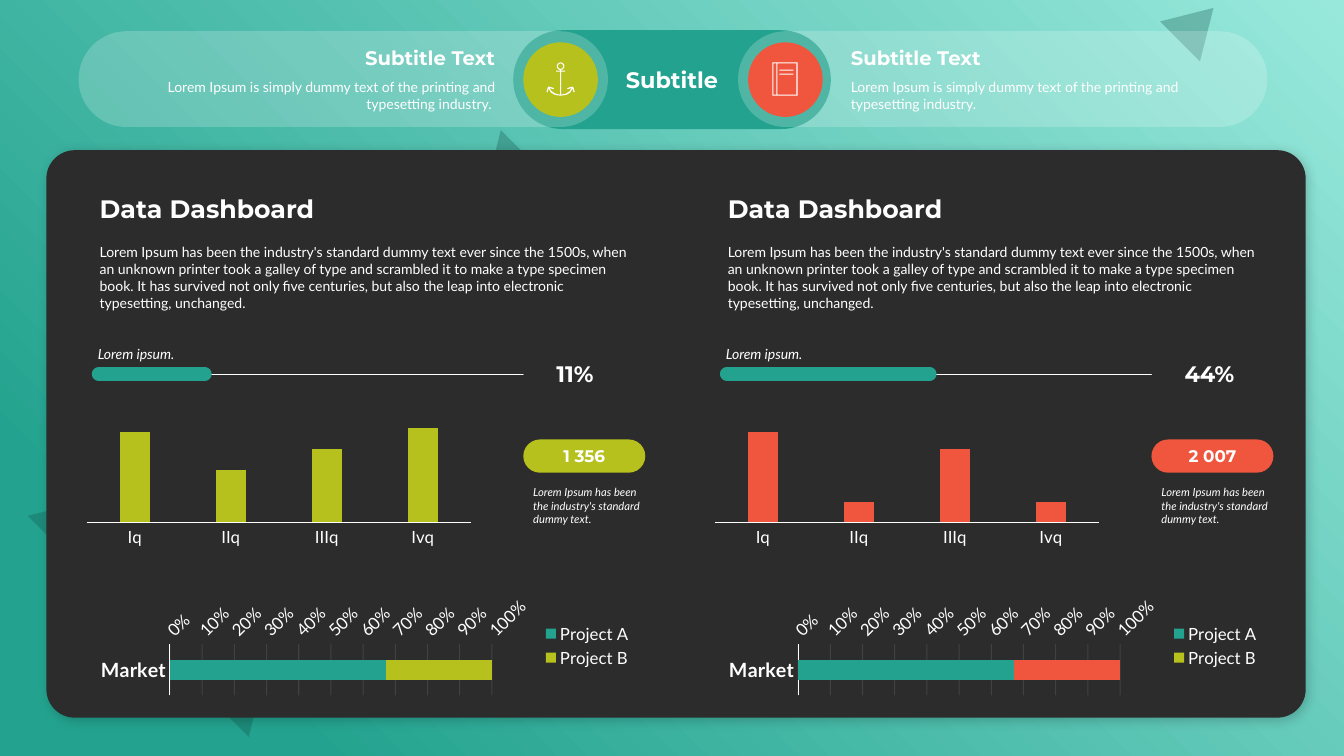
"""Build a teal dashboard slide with two columns of progress bars and charts."""
from math import cos, pi, sin

from lxml.etree import SubElement
from pptx import Presentation
from pptx.chart.data import CategoryChartData
from pptx.dml.color import RGBColor
from pptx.enum.chart import XL_CHART_TYPE, XL_LEGEND_POSITION, XL_TICK_MARK
from pptx.enum.shapes import MSO_CONNECTOR, MSO_SHAPE
from pptx.enum.text import MSO_ANCHOR, MSO_AUTO_SIZE, PP_ALIGN
from pptx.oxml.ns import qn
from pptx.util import Pt

PX = 9144
COLORS = {name: RGBColor.from_string(value) for name, value in {
    "mint": "98E9DC", "teal": "23A38F", "pine": "115248", "white": "FFFFFF",
    "lime": "B7C11E", "coral": "F0563D", "panel": "2C2C2C"}.items()}
LEFT, CENTER, RIGHT = PP_ALIGN.LEFT, PP_ALIGN.CENTER, PP_ALIGN.RIGHT
TOP, MIDDLE, BOTTOM = MSO_ANCHOR.TOP, MSO_ANCHOR.MIDDLE, MSO_ANCHOR.BOTTOM
PILL = MSO_SHAPE.ROUNDED_RECTANGLE


def add_box(shapes, kind, at, color, opacity=100):
    shape = shapes.add_shape(kind, *[value * PX for value in at])
    shape.shadow.inherit = False
    shape.line.fill.background()
    shape.fill.solid()
    shape.fill.fore_color.rgb = COLORS[color]
    if opacity < 100:
        tint = shape.element.spPr.find(".//" + qn("a:srgbClr"))
        SubElement(tint, qn("a:alpha"), val=str(opacity * 1000))
    if kind == PILL:
        shape.adjustments[0] = 0.5
    return shape


def write(shape, lines, align=LEFT, anchor=TOP, insets=(10, 5, 10, 5), after=0):
    frame = shape.text_frame
    frame.word_wrap = True
    frame.vertical_anchor = anchor
    for side, inset in zip(("left", "top", "right", "bottom"), insets):
        setattr(frame, "margin_" + side, inset * PX)
    for index, (text, size, name, style) in enumerate(lines):
        paragraph = frame.add_paragraph() if index else frame.paragraphs[0]
        paragraph.alignment = align
        paragraph.space_after = Pt(after)
        run = paragraph.add_run()
        run.text = text
        formats = {"size": Pt(size), "name": name, "bold": style == "bold", "italic": style == "italic"}
        for key, value in formats.items():
            setattr(run.font, key, value)
        run.font.color.rgb = COLORS["white"]


presentation = Presentation()
presentation.slide_width, presentation.slide_height = 1333 * PX, 750 * PX
slide = presentation.slides.add_slide(presentation.slide_layouts[6])
shapes = slide.shapes

backdrop = add_box(shapes, MSO_SHAPE.RECTANGLE, (0, 0, 1333, 750), "teal")
backdrop.fill.gradient()
for stop, (position, color) in zip(backdrop.fill.gradient_stops, ((0, "mint"), (0.85, "teal"))):
    stop.position = position
    stop.color.rgb = COLORS[color]
gradient = backdrop.element.spPr.find(qn("a:gradFill"))
gradient.remove(gradient.find(qn("a:lin")))
radial = SubElement(gradient, qn("a:path"), path="circle")
SubElement(radial, qn("a:fillToRect"), l="100000", b="100000")

for at, flipped in (((73, 402, 310, 257), "0"), ((457, 150, 90, 75), "1"), ((1159, 1, 56, 47), "0")):
    triangle = add_box(shapes, MSO_SHAPE.ISOSCELES_TRIANGLE, at, "pine", 30)
    triangle.rotation = 45
    triangle.element.spPr.find(qn("a:xfrm")).set("flipV", flipped)

title_pill = add_box(shapes, PILL, (509, 30, 315, 98), "teal")
write(title_pill, [("Subtitle", 16, "Montserrat", "bold")], CENTER, MIDDLE, (87, 5, 87, 5))
PRINTING = "Lorem Ipsum is simply dummy text of the printing and typesetting industry."
for left, align, insets, ending in ((732, LEFT, (98, 5, 20, 5), ""), (78, RIGHT, (20, 5, 98, 5), " ")):
    side_pill = add_box(shapes, PILL, (left, 31, 525, 95), "white", 20)
    lines = [("Subtitle Text", 14, "Montserrat", "bold"), (PRINTING + ending, 10, "Lato", "")]
    write(side_pill, lines, align, MIDDLE, insets, 6)
for left, color in ((519, "lime"), (742, "coral")):
    add_box(shapes, MSO_SHAPE.OVAL, (left, 42, 74, 74), color)

half_anchor = [(5, 73), (5, 80), (45, 80), (45, 90), (5, 90), (5, 320), (55, 308), (90, 285),
               (110, 254), (70, 265), (65, 254), (115, 240), (124, 240), (140, 290), (130, 297),
               (118, 260), (95, 300), (55, 322), (0, 330)]
anchor_body = half_anchor + [(-x, y) for x, y in reversed(half_anchor[:-1])]
rings = [[(radius * cos(step * pi / 12), 37 + radius * sin(step * pi / 12)) for step in range(24)]
         for radius in (37, 27)]
book_frames = [[(left, top), (right, top), (right, bottom), (left, bottom)] for left, top, right, bottom in
               ((0, 0, 250, 330), (10, 10, 40, 320), (50, 10, 240, 320))]
book = shapes.add_group_shape()
for parent, left, contours in ((shapes, 556, [anchor_body] + rings), (book.shapes, 766, book_frames)):
    builder = parent.build_freeform(*contours[0][0], scale=PX / 10)
    builder.add_line_segments(contours[0][1:])
    for contour in contours[1:]:
        builder.move_to(*contour[0])
        builder.add_line_segments(contour[1:])
    icon = builder.convert_to_shape(left * PX, 62 * PX)
    icon.shadow.inherit = False
    icon.fill.solid()
    icon.fill.fore_color.rgb = COLORS["white"]
    icon.line.fill.background()
for top in (69, 73):
    add_box(book.shapes, MSO_SHAPE.RECTANGLE, (773, top, 14, 1), "white")

panel = add_box(shapes, PILL, (46, 149, 1249, 563), "panel")
panel.adjustments[0] = 0.05
effects = panel.element.spPr.find(qn("a:effectLst"))
shadow = SubElement(effects, qn("a:outerShdw"), blurRad=str(Pt(8)), dist=str(Pt(3)), dir="2700000")
shade = SubElement(shadow, qn("a:srgbClr"), val="000000")
SubElement(shade, qn("a:alpha"), val="20000")

HISTORY = ("Lorem Ipsum has been the industry's standard dummy text ever since the 1500s, when an unknown "
           "printer took a galley of type and scrambled it to make a type specimen book. It has survived not "
           "only five centuries, but also the leap into electronic typesetting, unchanged.")
NOTE = "Lorem Ipsum has been the industry's standard dummy text."
dashboards = (
    (0, "lime", "1 356", "11%", 203, (96, 56, 78, 100), 111),
    (623, "coral", "2 007", "44%", 299, (100, 23, 81, 23), 116))

for shift, color, total, percent, progress_end, quarters, scale_top in dashboards:
    badge = add_box(shapes, PILL, (519 + shift, 436, 121, 33), color)
    write(badge, [(total, 12, "Montserrat", "bold")], CENTER, MIDDLE, (0, 0, 0, 0))

    for (left, top, width, height), line, anchor, inset, after in (
            ((519, 477, 138, 50), (NOTE, 8, "Lato", "italic"), TOP, 10, 0),
            ((89, 237, 548, 77), (HISTORY, 10, "Lato", ""), TOP, 10, 6),
            ((89, 187, 548, 40), ("Data Dashboard", 18, "Montserrat", "bold"), BOTTOM, 10, 0),
            ((542, 352, 95, 37), (percent, 16, "Montserrat", "bold"), MIDDLE, 10, 0),
            ((89, 337, 192, 27), ("Lorem ipsum.", 10, "Lato", "italic"), BOTTOM, 8, 0)):
        box = shapes.add_textbox((left + shift) * PX, top * PX, width * PX, height * PX)
        write(box, [line], LEFT, anchor, (inset, 5, 10, 5), after)
        box.text_frame.auto_size = MSO_AUTO_SIZE.SHAPE_TO_FIT_TEXT

    for start, end, stroke, weight in ((93, 519, "white", 0.5), (98, progress_end, "teal", 10)):
        bar = shapes.add_connector(MSO_CONNECTOR.STRAIGHT, (start + shift) * PX, 371 * PX,
                                   (end + shift) * PX, 371 * PX)
        bar.line.color.rgb, bar.line.width = COLORS[stroke], Pt(weight)
        bar.element.spPr.find(qn("a:ln")).set("cap", "rnd")
        SubElement(bar.element.spPr, qn("a:effectLst"))

    for kind, (left, top, width, height), categories, series_data, gap, overlap, sizes in (
            (XL_CHART_TYPE.COLUMN_CLUSTERED, (78, 398, 401, 165), ("Iq", "IIq", "IIIq", "Ivq"),
             (("Series 1", quarters, color),), 219, -27, (10, 12)),
            (XL_CHART_TYPE.BAR_STACKED_100, (89, 589, 548, 103), ("Market",),
             (("Project A", (67,), "teal"), ("Project B", (33,), "lime")), 155, 100, (12, 14))):
        data = CategoryChartData()
        data.categories = categories
        for name, values, fill in series_data:
            data.add_series(name, values)
        chart = shapes.add_chart(kind, (left + shift) * PX, top * PX, width * PX, height * PX, data).chart
        chart.has_title = chart.has_legend = False
        chart.font.size, chart.font.name = Pt(sizes[0]), "Lato"
        chart.font.color.rgb = COLORS["white"]
        plot = chart.plots[0]
        plot.gap_width, plot.overlap, plot.vary_by_categories = gap, overlap, False
        for series, (name, values, fill) in zip(plot.series, series_data):
            series.format.fill.solid()
            series.format.fill.fore_color.rgb = COLORS[fill]
        category_axis, value_axis = chart.category_axis, chart.value_axis
        category_axis.major_tick_mark = value_axis.major_tick_mark = XL_TICK_MARK.NONE
        labels = category_axis.tick_labels.font
        labels.size, labels.name, labels.bold = Pt(sizes[1]), "Lato", len(categories) == 1
        labels.color.rgb = category_axis.format.line.color.rgb = COLORS["white"]
        category_axis.format.line.width = Pt(0.75)
        if kind == XL_CHART_TYPE.COLUMN_CLUSTERED:
            value_axis.visible = value_axis.has_major_gridlines = False
            value_axis.minimum_scale, value_axis.maximum_scale = 0, scale_top
            plot_area = chart.element.find(".//" + qn("c:plotArea"))
            layout = plot_area.find(qn("c:layout"))
            layout = SubElement(plot_area, qn("c:layout")) if layout is None else layout
            plot_area.insert(0, layout)
            manual = SubElement(layout, qn("c:manualLayout"))
            for key, value in (("layoutTarget", "inner"), ("xMode", "edge"), ("yMode", "edge"),
                               ("x", "0.02"), ("y", "0.1"), ("w", "0.95"), ("h", "0.63")):
                SubElement(manual, qn("c:" + key), val=value)
        else:
            category_axis.reverse_order = True
            value_axis.format.line.fill.background()
            value_axis.tick_labels.number_format = "0%"
            value_axis.tick_labels.number_format_is_linked = False
            grid = value_axis.major_gridlines.format.line
            grid.color.rgb, grid.width = COLORS["white"], Pt(0.75)
            tint = chart.element.find(".//" + qn("c:majorGridlines")).find(".//" + qn("a:srgbClr"))
            SubElement(tint, qn("a:alpha"), val="10000")
            chart.has_legend = True
            chart.legend.position = XL_LEGEND_POSITION.RIGHT
            chart.legend.include_in_layout = False
            if color != "lime":
                point = plot.series[1].points[0]
                point.format.fill.solid()
                point.format.fill.fore_color.rgb = COLORS[color]

presentation.save("out.pptx")
